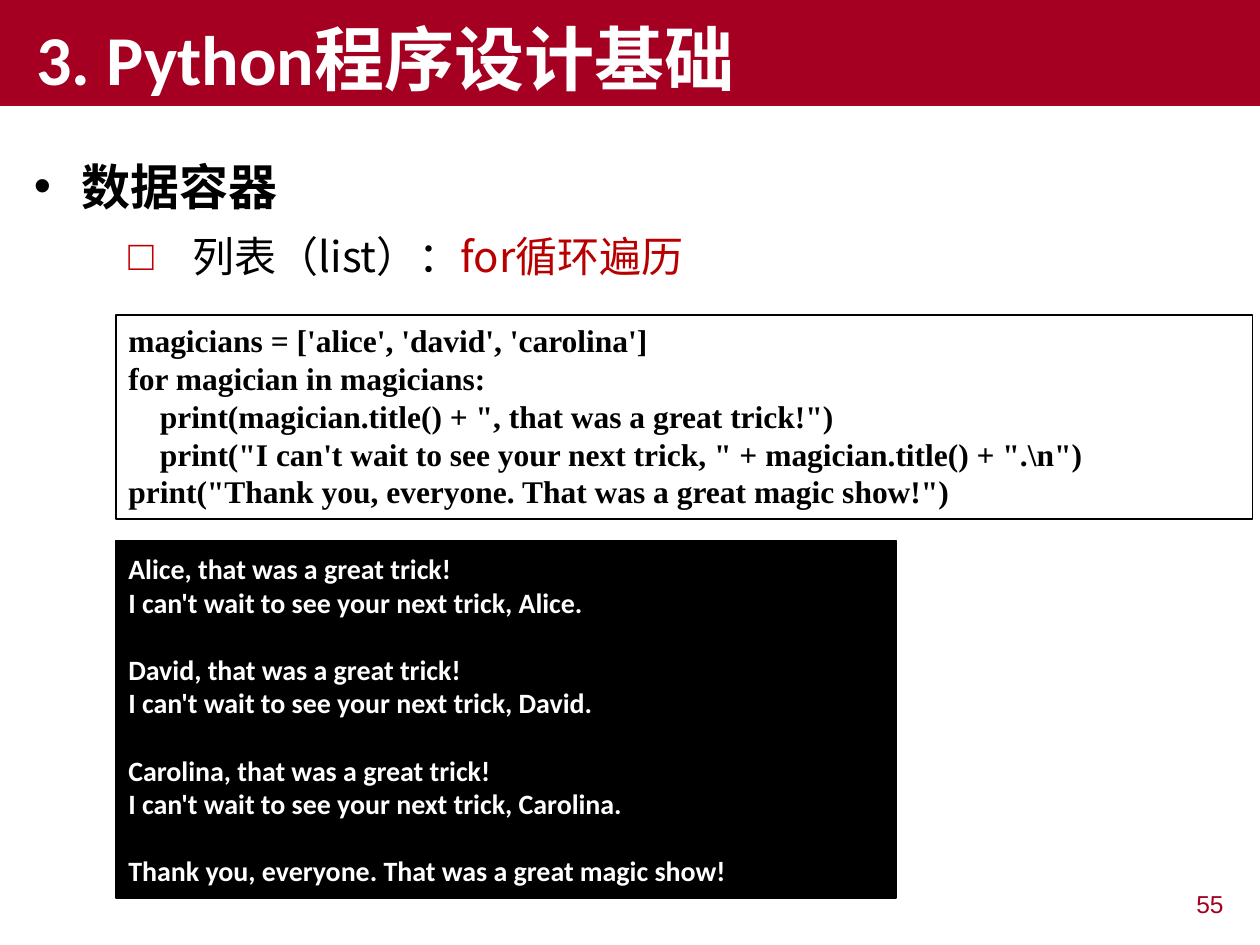
"""Build a slide on looping over a Python list, with code and its output."""
import pptx
import pptx.dml.color
import pptx.enum.shapes
import pptx.enum.text
import pptx.oxml.ns
import pptx.util
from lxml import etree

Inches = pptx.util.Inches
Pt = pptx.util.Pt
RGBColor = pptx.dml.color.RGBColor
Align = pptx.enum.text.PP_ALIGN
Anchor = pptx.enum.text.MSO_ANCHOR
qn = pptx.oxml.ns.qn

COLORS = {"crimson": "A50021", "red": "B90000", "bullet": "C00000",
          "black": "000000", "white": "FFFFFF"}
CJK_FONT = "Noto Sans CJK SC"


def format_runs(paragraph, size, font, color, bold=False):
    for run in paragraph.runs:
        run.font.size = Pt(size)
        run.font.name = font
        run.font.bold = bold
        run.font.color.rgb = RGBColor.from_string(COLORS[color])
        east_asian = etree.Element(qn("a:ea"), typeface=CJK_FONT)
        run.font._element.find(qn("a:latin")).addnext(east_asian)


def set_indent(paragraph, margin, indent, bullet=None, color="black"):
    properties = paragraph._p.get_or_add_pPr()
    properties.set("marL", str(Inches(margin)))
    properties.set("indent", str(Inches(indent)))
    if bullet:
        bullet_color = etree.SubElement(properties, qn("a:buClr"))
        etree.SubElement(bullet_color, qn("a:srgbClr"), val=COLORS[color])
        etree.SubElement(properties, qn("a:buFont"), typeface="Arial")
        etree.SubElement(properties, qn("a:buChar"), char=bullet)


presentation = pptx.Presentation()
presentation.slide_width = Inches(10)
presentation.slide_height = Inches(7.5)
slide = presentation.slides.add_slide(presentation.slide_layouts[5])

title = slide.shapes.title
title.left, title.top = Inches(0), Inches(0)
title.width, title.height = Inches(10), Inches(0.84)
title.fill.solid()
title.fill.fore_color.rgb = RGBColor.from_string(COLORS["crimson"])
title.text_frame.text = "3. Python程序设计基础"
title.text_frame.auto_size = pptx.enum.text.MSO_AUTO_SIZE.NONE
title.text_frame.vertical_anchor = Anchor.BOTTOM
paragraph = title.text_frame.paragraphs[0]
paragraph.alignment = Align.LEFT
set_indent(paragraph, 0, 0.19)
format_runs(paragraph, 40, "Calibri", "white", True)

heading = slide.shapes.add_textbox(Inches(0.17), Inches(1.19), Inches(9.39), Inches(0.57))
heading.text_frame.word_wrap = True
heading.text_frame.text = "数据容器"
paragraph = heading.text_frame.paragraphs[0]
set_indent(paragraph, 0.38, -0.38, "•")
format_runs(paragraph, 28, CJK_FONT, "black", True)

topic = slide.shapes.add_textbox(Inches(0.92), Inches(1.78), Inches(9.02), Inches(0.57))
topic.text_frame.word_wrap = True
paragraph = topic.text_frame.paragraphs[0]
set_indent(paragraph, 0.51, -0.51, "□", "bullet")
for text in ("列表（list）：", "for循环遍历"):
    paragraph.add_run().text = text
format_runs(paragraph, 24, CJK_FONT, "black")
paragraph.runs[1].font.color.rgb = RGBColor.from_string(COLORS["red"])

page_number = slide.shapes.add_textbox(Inches(7.64), Inches(7.01), Inches(2.17), Inches(0.39))
page_number.text_frame.word_wrap = True
page_number.text_frame.text = "55"
paragraph = page_number.text_frame.paragraphs[0]
paragraph.alignment = Align.RIGHT
format_runs(paragraph, 14, "Arial", "crimson")

code = r"""magicians = ['alice', 'david', 'carolina']
for magician in magicians:
    print(magician.title() + ", that was a great trick!")
    print("I can't wait to see your next trick, " + magician.title() + ".\n")
print("Thank you, everyone. That was a great magic show!")"""

output_lines = []
for name in ("Alice", "David", "Carolina"):
    output_lines += [f"{name}, that was a great trick!",
                     f"I can't wait to see your next trick, {name}."]
output_lines.append("Thank you, everyone. That was a great magic show!")

panels = [
    (2.5, 9.02, 1.62, code, 18, "Times New Roman", "black", None, 0.75, Anchor.TOP),
    (4.29, 6.19, 2.84, "\n".join(output_lines), 16, "Calibri", "white", "black", 1, Anchor.MIDDLE),
]
for top, width, height, text, size, font, color, fill, line_width, anchor in panels:
    panel = slide.shapes.add_shape(pptx.enum.shapes.MSO_SHAPE.RECTANGLE,
                                   Inches(0.92), Inches(top), Inches(width), Inches(height))
    panel.shadow.inherit = False
    if fill:
        panel.fill.solid()
        panel.fill.fore_color.rgb = RGBColor.from_string(COLORS[fill])
    else:
        panel.fill.background()
    panel.line.color.rgb = RGBColor.from_string(COLORS["black"])
    panel.line.width = Pt(line_width)
    panel.text_frame.word_wrap = True
    panel.text_frame.vertical_anchor = anchor
    panel.text_frame.text = text
    for index, paragraph in enumerate(panel.text_frame.paragraphs):
        paragraph.alignment = Align.LEFT
        paragraph.line_spacing = Pt(size * 1.2)
        if text != code and index and index % 2 == 0:
            paragraph.space_before = Pt(size * 1.2)
        format_runs(paragraph, size, font, color, True)

presentation.save("out.pptx")
